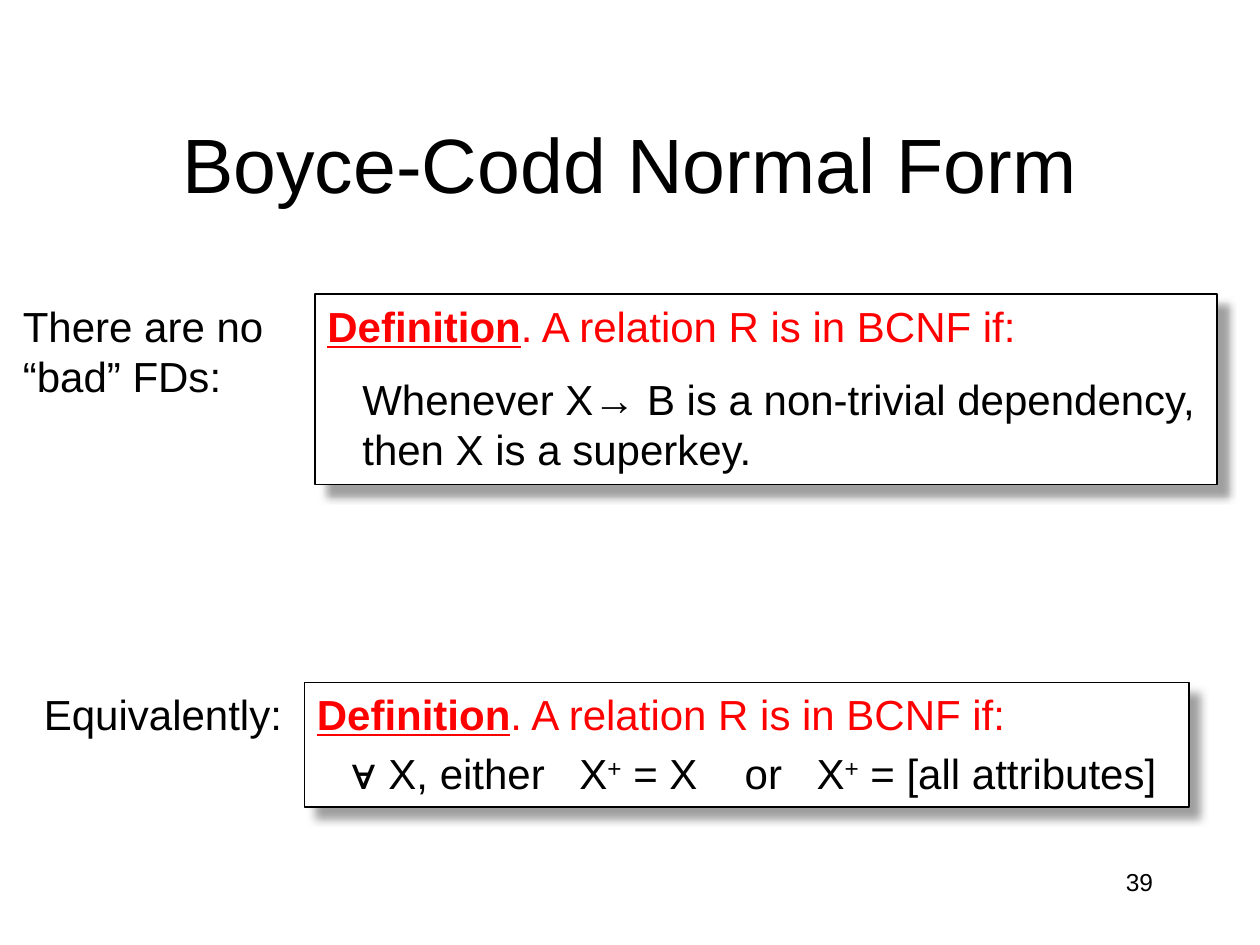
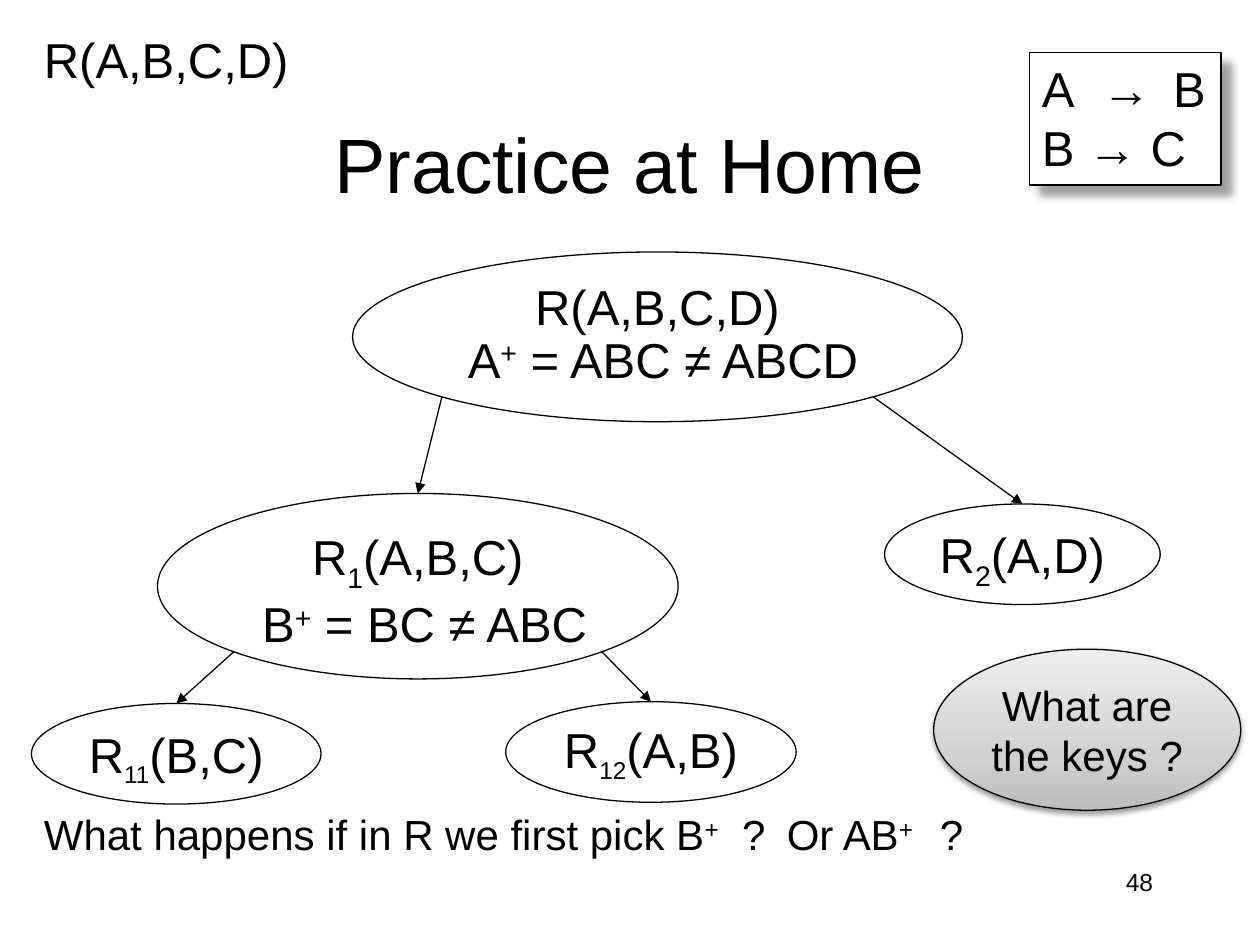
import math

import lxml.etree
import pptx
import pptx.dml.color
import pptx.enum.shapes
import pptx.enum.text
import pptx.oxml.ns
import pptx.util

Pt = pptx.util.Pt
SHAPE = pptx.enum.shapes.MSO_SHAPE
ALIGN = pptx.enum.text.PP_ALIGN
ANCHOR = pptx.enum.text.MSO_ANCHOR
qn = pptx.oxml.ns.qn

FONT = "Arial"
COLORS = {"ink": "000000", "paper": "FFFFFF", "accent": "FF0000", "shade": "808080"}
GREY_STOPS = [(0, "BDBDBD"), (35, "D1D1D1"), (100, "EEEEEE")]
# color, opacity %, blur, distance, direction in degrees
BOX_SHADOW = (COLORS["shade"], 75, 5, 8.5, 45)
SOFT_SHADOW = (COLORS["ink"], 38, 3.1, 1.6, 90)

# Markup in texts: *strong*  ^superscript^  _subscript_  ~smaller subscript~
MARKS = "*^_~"
DEFINITION = {"text": "*Definition*. A relation R is in BCNF if:", "color": "accent"}

TITLE_BOX = (54, 48, 612, 90)
NUMBER_BOX = (516, 492, 150, 36)

BCNF = {
    "title": "Boyce-Codd Normal Form",
    "number": "39",
    "labels": [
        ((6, 168, 153, 65.5), {"text": "There are no\n“bad” FDs:"}),
        ((18, 390, 152, 36), {"text": "Equivalently:"}),
    ],
    "boxes": [
        ((180, 168, 515.5, 108.75), [
            DEFINITION,
            {"text": "Whenever X→ B is a non-trivial dependency,\nthen X is a superkey.",
             "before": 13, "indent": 20}]),
        ((174, 390, 505.5, 71.25), [
            DEFINITION,
            {"text": "\t∀ X, either\tX^+^ = X\tor\tX^+^ = [all attributes]",
             "before": 5, "tabs": [20, 150, 244.5, 285.5]}]),
    ],
}

PRACTICE = {
    "title": "Practice at Home",
    "number": "48",
    "labels": [
        ((18, 13.5, 156, 41), {"text": "R(A,B,C,D)", "size": 28}),
        ((18, 462, 542, 34), {"text": "What happens if in R we first pick B^+^\t?\tOr AB^+^\t?",
                              "spacing": 0.9, "tabs": [399, 424.5, 512]}),
    ],
    "boxes": [
        ((588.25, 30, 109.5, 75.75), [
            {"text": "A\t→\tB\nB → C", "size": 28, "tabs": [34.25, 75]}]),
    ],
}
NODES = {
    "R": ((201.5, 144, 348.5, 97), {"text": "R(A,B,C,D)\n A^+^ = ABC ≠ ABCD", "spacing": 0.9}),
    "R1": ((90, 282, 297.5, 106), {"text": "R_1_(A,B,C)\n B^+^ = BC ≠ ABC"}),
    "R2": ((505.5, 288, 157.5, 57.5), {"text": "R_2_(A,D)"}),
    "R11": ((18, 402, 165.5, 57.5), {"text": "R~11~(B,C)"}),
    "R12": ((289, 401, 166, 57.5), {"text": "R~12~(A,B)", "anchor": ANCHOR.MIDDLE}),
}
SPLITS = [("R", "R1", "R2"), ("R1", "R11", "R12")]
KEYS_BUBBLE = ((533.5, 371, 175.5, 92), {"text": "What are\nthe keys ?"})


def rgb(value):
    return pptx.dml.color.RGBColor.from_string(value)


def add_xml(parent, tag, **attrs):
    return lxml.etree.SubElement(parent, qn(tag), {k: str(v) for k, v in attrs.items()})


def add_runs(p, text):
    """Turn the markup and line breaks of a text into runs."""
    mark, piece = "", ""

    def flush():
        if not piece:
            return
        r = p.add_run()
        r.text = piece
        if mark == "*":
            r.font.bold = r.font.underline = True
        elif mark:
            r.font._element.set("baseline", "30000" if mark == "^" else "-25000")
        if mark == "~":
            r.font.size = Pt(24)

    for char in text:
        if char in MARKS or char == "\n":
            flush()
            piece = ""
            if char == "\n":
                p.add_line_break()
            else:
                mark = "" if mark else char
        else:
            piece += char
    flush()


def write(sp, paragraphs, align=ALIGN.LEFT, anchor=ANCHOR.TOP, wrap=True, size=24):
    tf = sp.text_frame
    tf.word_wrap = wrap
    tf.vertical_anchor = anchor
    if align == ALIGN.LEFT:
        tf.margin_right = 0
    for i, spec in enumerate(paragraphs):
        p = tf.add_paragraph() if i else tf.paragraphs[0]
        p.alignment = align
        p.line_spacing = spec.get("spacing", 1.0)
        p.space_before = Pt(spec.get("before", 0))
        pPr = p._p.get_or_add_pPr()
        if "indent" in spec:
            pPr.set("marL", str(Pt(spec["indent"])))
            pPr.set("indent", "0")
        if "tabs" in spec:
            stops = add_xml(pPr, "a:tabLst")
            for pos in spec["tabs"]:
                add_xml(stops, "a:tab", pos=Pt(pos), algn="l")
        p.font.name = FONT
        p.font.size = Pt(spec.get("size", size))
        p.font.color.rgb = rgb(COLORS[spec.get("color", "ink")])
        add_runs(p, spec["text"])


def add_text(s, box, spec, **style):
    write(s.shapes.add_textbox(*map(Pt, box)), [spec], **style)


def outline(sp):
    sp.line.color.rgb = rgb(COLORS["ink"])
    sp.line.width = Pt(0.75)


def add_outlined(s, kind, box, shadow=None):
    sp = s.shapes.add_shape(kind, *map(Pt, box))
    outline(sp)
    sp.shadow.inherit = False
    if shadow:
        color, opacity, blur, dist, angle = shadow
        effects = sp._element.spPr.find(qn("a:effectLst"))
        outer = add_xml(effects, "a:outerShdw", blurRad=Pt(blur), dist=Pt(dist),
                        dir=angle * 60000, algn="ctr", rotWithShape=0)
        add_xml(add_xml(outer, "a:srgbClr", val=color), "a:alpha", val=opacity * 1000)
    return sp


def add_node(s, box, spec):
    sp = add_outlined(s, SHAPE.OVAL, box)
    sp.fill.background()
    write(sp, [spec], ALIGN.CENTER, spec.get("anchor", ANCHOR.TOP), wrap=False, size=28)


def add_arrow(s, parent, child, side):
    """Arrow from the parent's lower left (-1) or lower right (1) to the child's top."""
    x, y, w, h = parent
    reach = math.sqrt(0.5) / 2
    start = x + w * (0.5 + side * reach), y + h * (0.5 + reach)
    end = child[0] + child[2] / 2, child[1]
    sp = s.shapes.add_connector(pptx.enum.shapes.MSO_CONNECTOR.STRAIGHT, *map(Pt, start + end))
    outline(sp)
    spPr = sp._element.spPr
    add_xml(spPr.find(qn("a:ln")), "a:tailEnd", type="triangle")
    add_xml(spPr, "a:effectLst")


def add_keys_bubble(s):
    box, spec = KEYS_BUBBLE
    sp = add_outlined(s, SHAPE.OVAL, box, SOFT_SHADOW)
    sp.fill.gradient()
    sp.fill.gradient_angle = 90
    stops = sp._element.spPr.find(".//" + qn("a:gsLst"))
    stops.clear()
    for pos, color in GREY_STOPS:
        add_xml(add_xml(stops, "a:gs", pos=pos * 1000), "a:srgbClr", val=color)
    write(sp, [spec], ALIGN.CENTER, ANCHOR.MIDDLE, wrap=False)


def add_slide(prs, content):
    s = prs.slides.add_slide(prs.slide_layouts[6])
    s.background.fill.solid()
    s.background.fill.fore_color.rgb = rgb(COLORS["paper"])
    add_text(s, NUMBER_BOX, {"text": content["number"]}, align=ALIGN.RIGHT, size=14)
    add_text(s, TITLE_BOX, {"text": content["title"]},
             align=ALIGN.CENTER, anchor=ANCHOR.MIDDLE, size=44)
    for box, spec in content["labels"]:
        add_text(s, box, spec)
    for box, paragraphs in content["boxes"]:
        sp = add_outlined(s, SHAPE.RECTANGLE, box, BOX_SHADOW)
        sp.fill.solid()
        sp.fill.fore_color.rgb = rgb(COLORS["paper"])
        write(sp, paragraphs)
    return s


def main():
    prs = pptx.Presentation()
    prs.slide_width, prs.slide_height = Pt(720), Pt(540)
    add_slide(prs, BCNF)
    s = add_slide(prs, PRACTICE)
    add_keys_bubble(s)
    for box, spec in NODES.values():
        add_node(s, box, spec)
    for parent, *children in SPLITS:
        for child, side in zip(children, (-1, 1)):
            add_arrow(s, NODES[parent][0], NODES[child][0], side)
    prs.save("out.pptx")


if __name__ == "__main__":
    main()
